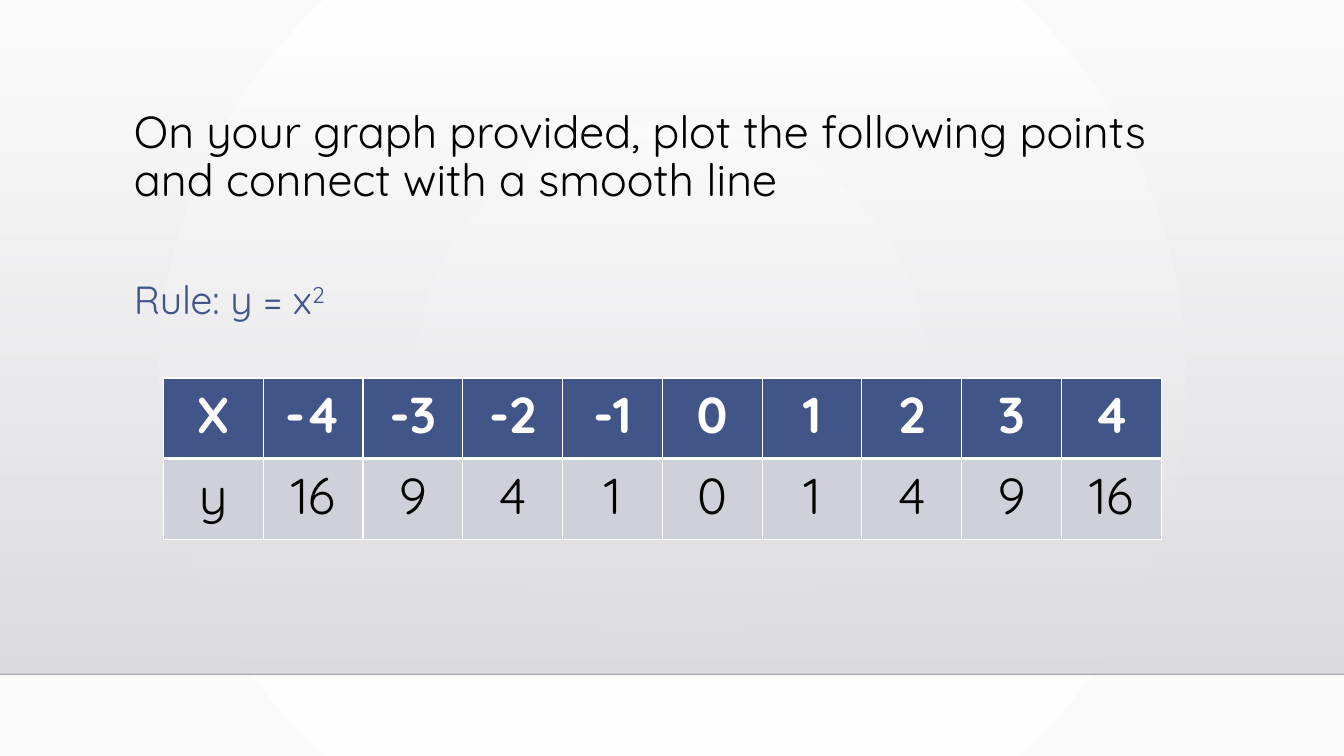
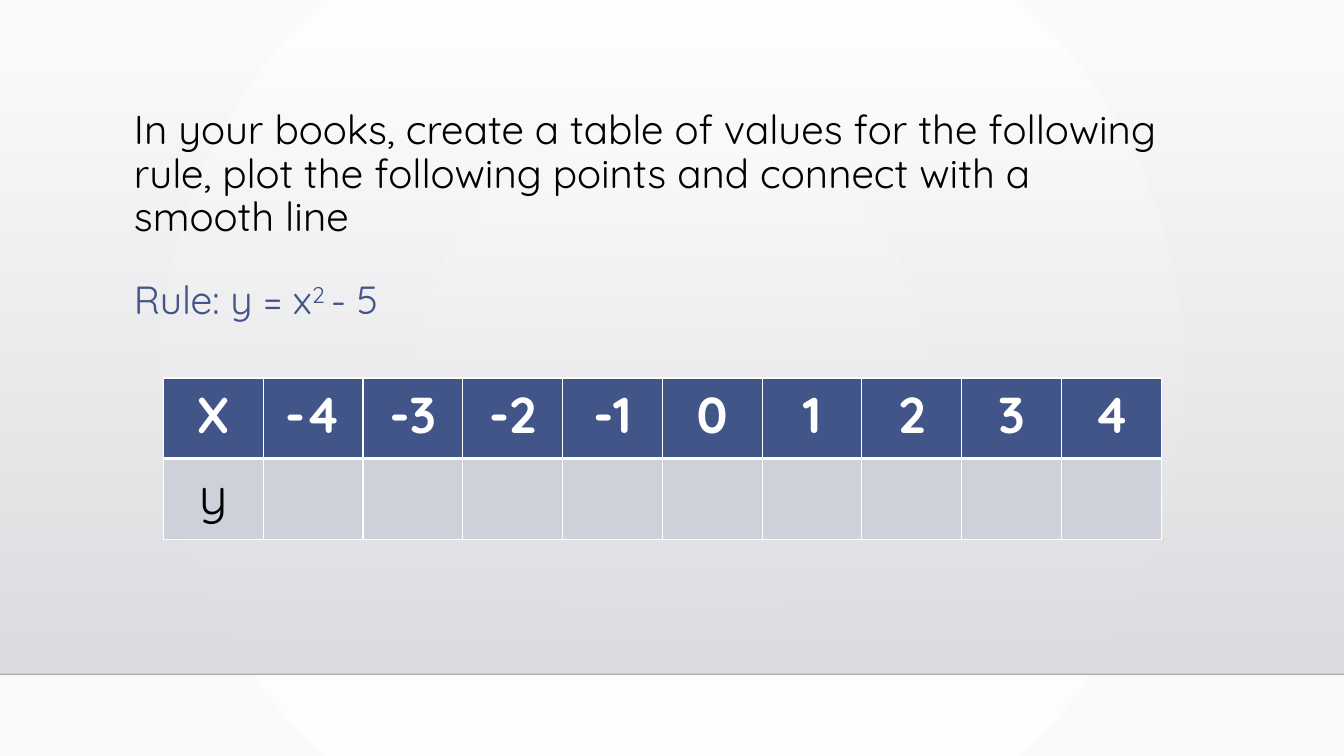
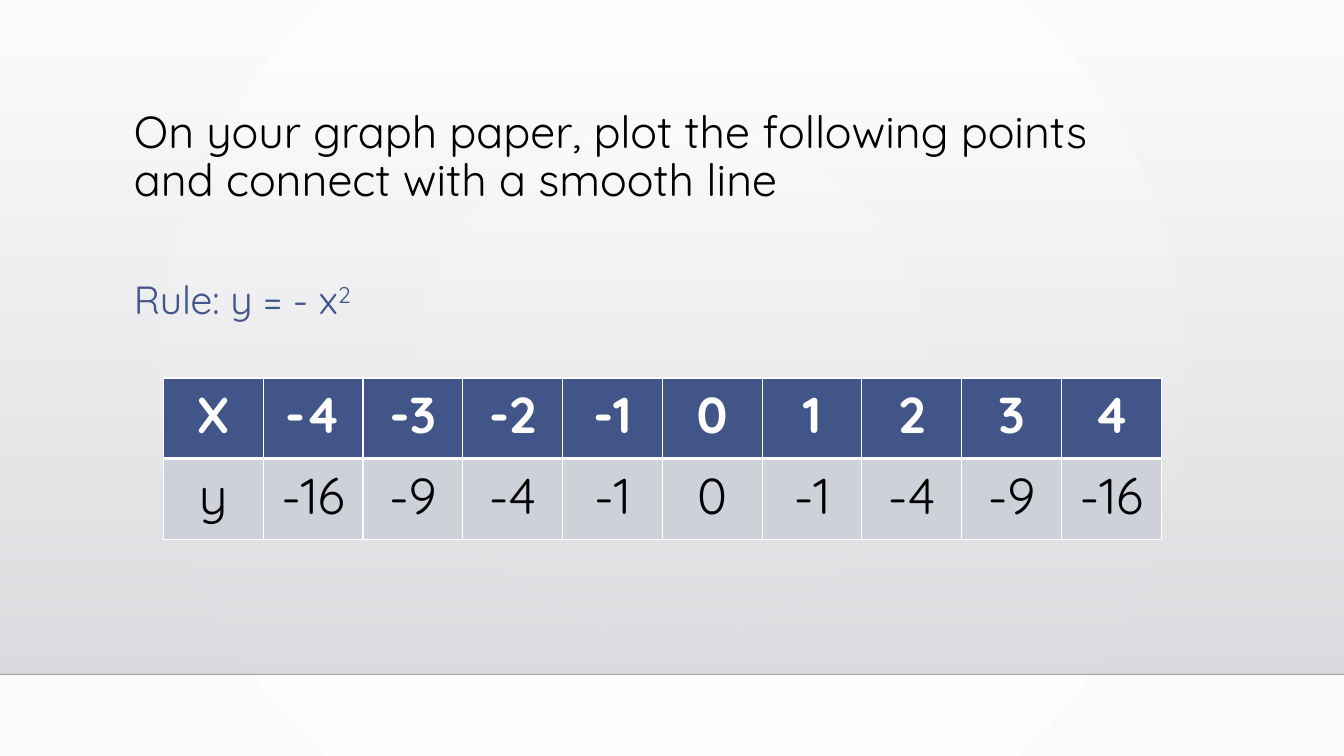
"""Build three slides on plotting quadratic rules from tables of values."""
from dataclasses import dataclass

import lxml.etree
import pptx
import pptx.dml.color
import pptx.enum.shapes
import pptx.enum.text
import pptx.oxml
import pptx.oxml.ns
import pptx.slide
import pptx.table
import pptx.text.text
import pptx.util
from pptx.util import Inches

COLORS = {
    "text": "000000",
    "accent": "415588",
    "cell": "CFD1DA",
    "white": "FFFFFF",
    "backdrop": "FAFAFA",
    "band_top": "DCDCE0",
    "band_bottom": "DEDEE2",
    "floor_line": "000001",
}
FONT = "Quicksand"
SLIDE_WIDTH = 13.33
BAND_TOP = 0.51
BAND_BOTTOM = 6.69
TEXT_LEFT = 1.23
COLUMN_WIDTH = 0.99
ROW_HEIGHT = 0.8
X_VALUES = tuple(range(-4, 5))
MIDDLE_RECT = '<a:fillToRect l="50000" t="50000" r="50000" b="50000"/>'


@dataclass(frozen=True)
class GradientStop:
    """A gradient colour with its position and opacity in percent."""

    position: int
    color: str
    opacity: int = 100


@dataclass(frozen=True)
class RulePart:
    """A piece of a rule, raised or on the baseline."""

    text: str
    raised: bool = False


@dataclass(frozen=True)
class Exercise:
    """One plotting task with its rule and the given y values."""

    task: str
    rule: tuple[RulePart, ...]
    y_labels: tuple[str, ...]
    task_size: float = 32


EXERCISES = (
    Exercise(
        "On your graph provided, plot the following points and connect with a smooth line",
        (RulePart("Rule: y = x"), RulePart("2", True)),
        tuple(str(x ** 2) for x in X_VALUES),
    ),
    Exercise(
        "In your books, create a table of values for the following rule, "
        "plot the following points and connect with a smooth line",
        (RulePart("Rule: y = x"), RulePart("2 ", True), RulePart("- 5")),
        ("",) * len(X_VALUES),
        28.8,
    ),
    Exercise(
        "On your graph paper, plot the following points and connect with a smooth line",
        (RulePart("Rule: y = - x"), RulePart("2", True)),
        tuple(str(-(x ** 2)) for x in X_VALUES),
    ),
)


def rgb(name: str) -> pptx.dml.color.RGBColor:
    """Look up a named colour."""
    return pptx.dml.color.RGBColor.from_string(COLORS[name])


def parse_drawing(tag: str, attributes: str, content: str) -> lxml.etree._Element:
    """Make a DrawingML element."""
    namespace = pptx.oxml.ns.nsdecls("a")
    return pptx.oxml.parse_xml(f"<a:{tag} {namespace} {attributes}>{content}</a:{tag}>")


def replace_gradient(
    owner: lxml.etree._Element, stops: tuple[GradientStop, ...], shading: str
) -> None:
    """Replace the first gradient inside an element."""
    stop_xml = "".join(
        f'<a:gs pos="{stop.position * 1000}"><a:srgbClr val="{COLORS[stop.color]}">'
        f'<a:alpha val="{stop.opacity * 1000}"/></a:srgbClr></a:gs>'
        for stop in stops
    )
    gradient = next(owner.iter(pptx.oxml.ns.qn("a:gradFill")))
    content = f"<a:gsLst>{stop_xml}</a:gsLst>{shading}"
    replacement = parse_drawing("gradFill", 'rotWithShape="1"', content)
    gradient.getparent().replace(gradient, replacement)


def set_background(master: pptx.slide.SlideMaster) -> None:
    """Give all slides the circular backdrop."""
    master.background.fill.gradient()
    replace_gradient(
        master.element,
        (GradientStop(0, "white"), GradientStop(100, "backdrop")),
        f'<a:path path="circle">{MIDDLE_RECT}</a:path>',
    )


def style_paragraph(
    paragraph: pptx.text.text._Paragraph, size: float, color: str, bold: bool = False
) -> None:
    """Set the font of a whole paragraph."""
    paragraph.font.name = FONT
    paragraph.font.size = pptx.util.Pt(size)
    paragraph.font.bold = bold
    paragraph.font.color.rgb = rgb(color)


def add_band(slide: pptx.slide.Slide) -> None:
    """Draw the fading band and the line along its foot."""
    band = slide.shapes.add_shape(
        pptx.enum.shapes.MSO_SHAPE.RECTANGLE,
        Inches(0), Inches(BAND_TOP), Inches(SLIDE_WIDTH), Inches(BAND_BOTTOM - BAND_TOP),
    )
    band.shadow.inherit = False
    band.line.fill.background()
    band.fill.gradient()
    replace_gradient(
        band._element.spPr,
        (GradientStop(0, "band_top", 0), GradientStop(100, "band_bottom")),
        '<a:lin ang="5400000" scaled="0"/>',
    )
    floor_line = slide.shapes.add_connector(
        pptx.enum.shapes.MSO_CONNECTOR.STRAIGHT,
        Inches(0), Inches(BAND_BOTTOM), Inches(SLIDE_WIDTH), Inches(BAND_BOTTOM),
    )
    floor_line.line.width = pptx.util.Pt(1)
    floor_line.line.color.rgb = rgb("floor_line")
    properties = floor_line._element.spPr
    color = next(properties.iter(pptx.oxml.ns.qn("a:srgbClr")))
    color.append(parse_drawing("alpha", 'val="20000"', ""))
    properties.append(parse_drawing("effectLst", "", ""))


def add_text_frame(
    slide: pptx.slide.Slide,
    top: float,
    width: float,
    height: float,
    anchor: pptx.enum.text.MSO_ANCHOR,
) -> pptx.text.text.TextFrame:
    """Add a wrapping text box at the left text margin."""
    box = slide.shapes.add_textbox(
        Inches(TEXT_LEFT), Inches(top), Inches(width), Inches(height)
    )
    box.text_frame.word_wrap = True
    box.text_frame.vertical_anchor = anchor
    return box.text_frame


def add_task(slide: pptx.slide.Slide, exercise: Exercise) -> None:
    """Write the task as the slide's title."""
    frame = add_text_frame(slide, 1.04, 10.51, 1.16, pptx.enum.text.MSO_ANCHOR.TOP)
    paragraph = frame.paragraphs[0]
    paragraph.text = exercise.task
    paragraph.line_spacing = 0.9
    style_paragraph(paragraph, exercise.task_size, "text")


def add_rule(slide: pptx.slide.Slide, exercise: Exercise) -> None:
    """Write the rule with its exponent raised."""
    frame = add_text_frame(slide, 2.37, 5.08, 0.88, pptx.enum.text.MSO_ANCHOR.BOTTOM)
    paragraph = frame.paragraphs[0]
    for part in exercise.rule:
        run = paragraph.add_run()
        run.text = part.text
        if part.raised:
            run._r.get_or_add_rPr().set("baseline", "30000")
    style_paragraph(paragraph, 28, "accent")


def set_borders(cell: pptx.table._Cell, top: float, bottom: float) -> None:
    """Draw white borders around a cell, with widths in points."""
    fill = f'<a:solidFill><a:srgbClr val="{COLORS["white"]}"/></a:solidFill>'
    widths = {"lnL": 1, "lnR": 1, "lnT": top, "lnB": bottom}
    properties = cell._tc.get_or_add_tcPr()
    for index, (tag, width) in enumerate(widths.items()):
        border = parse_drawing(tag, f'w="{pptx.util.Pt(width)}"', fill)
        properties.insert(index, border)


def add_value_table(slide: pptx.slide.Slide, exercise: Exercise) -> None:
    """Draw the table of x and y values."""
    rows = (("X", *map(str, X_VALUES)), ("y", *exercise.y_labels))
    column_count = len(rows[0])
    table = slide.shapes.add_table(
        len(rows), column_count, Inches(1.62), Inches(3.75),
        Inches(COLUMN_WIDTH * column_count), Inches(ROW_HEIGHT * len(rows)),
    ).table
    table.horz_banding = False
    for row_index, labels in enumerate(rows):
        is_header = row_index == 0
        for column_index, label in enumerate(labels):
            cell = table.cell(row_index, column_index)
            cell.fill.solid()
            cell.fill.fore_color.rgb = rgb("accent" if is_header else "cell")
            set_borders(cell, 1 if is_header else 3, 3 if is_header else 1)
            paragraph = cell.text_frame.paragraphs[0]
            paragraph.text = label
            paragraph.alignment = pptx.enum.text.PP_ALIGN.CENTER
            style_paragraph(paragraph, 36, "white" if is_header else "text", is_header)


def main() -> None:
    """Build and save the presentation."""
    presentation = pptx.Presentation()
    presentation.slide_width = Inches(SLIDE_WIDTH)
    presentation.slide_height = Inches(7.5)
    set_background(presentation.slide_master)
    blank_layout = presentation.slide_layouts[6]
    for exercise in EXERCISES:
        slide = presentation.slides.add_slide(blank_layout)
        add_band(slide)
        add_task(slide, exercise)
        add_rule(slide, exercise)
        add_value_table(slide, exercise)
    presentation.save("out.pptx")


if __name__ == "__main__":
    main()
